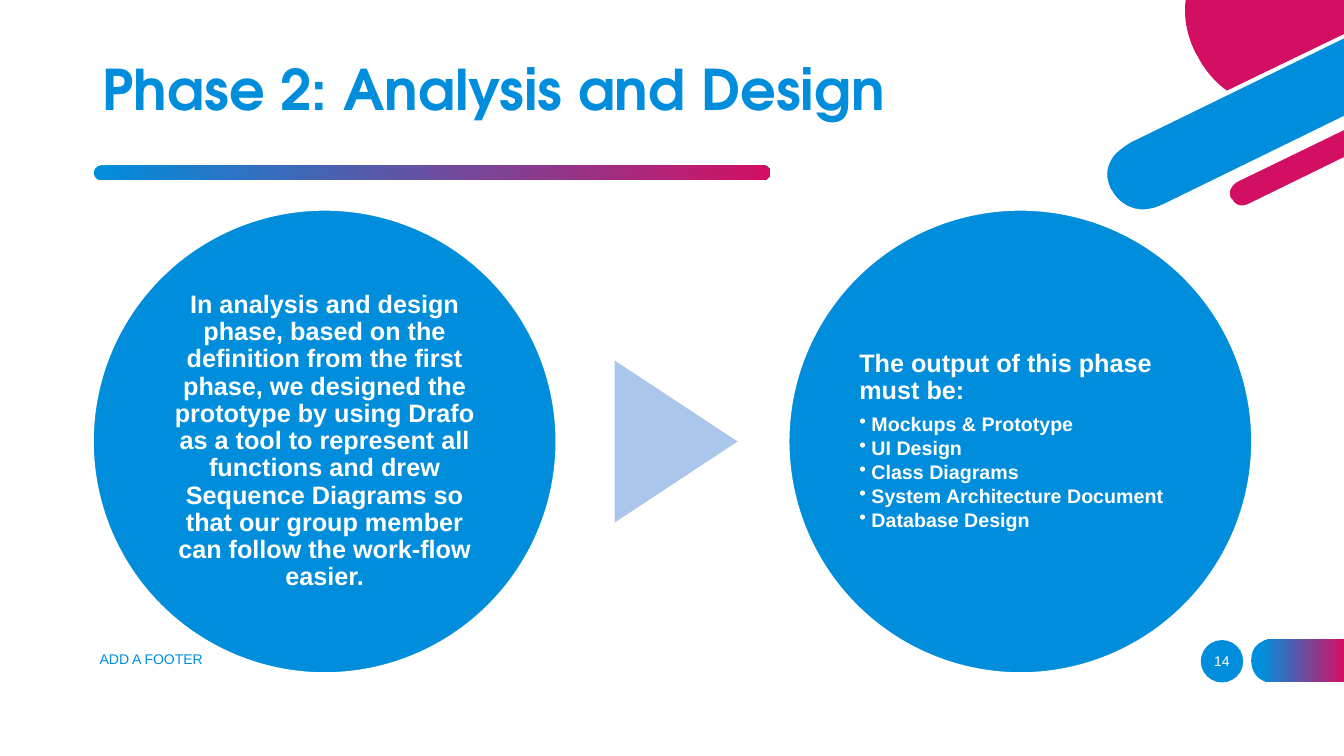
from lxml.etree import SubElement
from pptx import Presentation
from pptx.dml.color import RGBColor
from pptx.enum.shapes import MSO_SHAPE as Preset
from pptx.enum.text import MSO_ANCHOR as Anchor, PP_ALIGN as Align
from pptx.oxml.ns import qn
from pptx.util import Inches, Pt

BLUE = RGBColor(0x00, 0x8E, 0xDC)
PINK = RGBColor(0xD3, 0x0F, 0x64)
PALE = RGBColor(0xAB, 0xC6, 0xEB)
WHITE = RGBColor(0xFF, 0xFF, 0xFF)

SLIDE_WIDTH = 13.33
CURVE_STEPS = 12

NUMBER_TAB = [(12.62, 6.77), (13.33, 6.77), (13.33, 6.34), (12.62, 6.34),
              (12.62, 6.34, 12.41, 6.34, 12.41, 6.55), (12.41, 6.56),
              (12.41, 6.56, 12.41, 6.77, 12.62, 6.77)]
BLUE_BAND = [(11.21, 1.39), (11.21, 1.39, 10.85, 1.57, 11.01, 1.89), (11.01, 1.9),
             (11.01, 1.9, 11.17, 2.22, 11.54, 2.04), (13.33, 1.17), (13.33, 0.36)]
PINK_DISC = [(11.88, 0.56), (11.88, 0.56, 11.97, 0.76, 12.17, 0.9), (13.33, 0.34),
             (13.33, 0), (11.76, 0), (11.74, 0.15, 11.76, 0.33, 11.86, 0.53)]
PINK_BAND = [(13.33, 1.26), (12.27, 1.78), (12.27, 1.78, 12.13, 1.85, 12.2, 1.97),
             (12.2, 1.98), (12.2, 1.98, 12.26, 2.11, 12.4, 2.04), (13.33, 1.58)]
PINK_RIM = [(12.39, 2.02), (12.27, 2.08, 12.22, 1.98, 12.22, 1.97), (12.21, 1.97),
            (12.16, 1.86, 12.28, 1.8, 12.28, 1.8), (13.33, 1.29), (13.33, 1.24),
            (12.26, 1.76), (12.26, 1.76, 12.19, 1.8, 12.17, 1.87),
            (12.15, 1.91, 12.16, 1.95, 12.18, 1.99),
            (12.2, 2.03, 12.25, 2.08, 12.32, 2.08),
            (12.35, 2.08, 12.38, 2.08, 12.41, 2.06), (13.33, 1.61), (13.33, 1.56)]
BLUE_RIM = [(11.53, 2.03), (11.19, 2.19, 11.03, 1.9, 11.03, 1.89), (11.02, 1.88),
            (10.96, 1.75, 10.97, 1.64, 11.06, 1.53),
            (11.13, 1.46, 11.22, 1.41, 11.22, 1.41), (13.33, 0.38), (13.33, 0.34),
            (11.2, 1.37), (11.19, 1.38, 11.02, 1.46, 10.96, 1.63),
            (10.93, 1.71, 10.94, 1.8, 10.99, 1.9), (10.99, 1.91),
            (10.99, 1.91, 11.1, 2.12, 11.33, 2.12),
            (11.39, 2.12, 11.46, 2.1, 11.54, 2.06), (13.33, 1.19), (13.33, 1.15)]

PHASE_SUMMARY = (
    "In analysis and design phase, based on the definition from the first phase, "
    "we designed the prototype by using Drafo as a tool to represent all functions "
    "and drew Sequence Diagrams so that our group member can follow the work-flow easier."
)
OUTPUTS = ["Mockups & Prototype", "UI Design", "Class Diagrams",
           "System Architecture Document", "Database Design"]


def flatten(outline):
    points = [outline[0]]
    for step in outline[1:]:
        if len(step) == 2:
            points.append(step)
            continue
        start, first, second, end = points[-1], step[:2], step[2:4], step[4:]
        for index in range(1, CURVE_STEPS + 1):
            t = index / CURVE_STEPS
            u = 1 - t
            points.append(tuple(
                u**3 * a + 3 * u * u * t * b + 3 * u * t * t * c + t**3 * d
                for a, b, c, d in zip(start, first, second, end)))
    return [(Inches(x), Inches(y)) for x, y in points]


def write(frame, text, size=18, color=WHITE, font="Arial", bold=False,
          align=Align.LEFT, spacing=1.0, after=6, bullet=False, first=True):
    para = frame.paragraphs[0] if first else frame.add_paragraph()
    para.alignment = align
    if bullet:
        para.level = 1
        settings = para._p.get_or_add_pPr()
        settings.set("marL", str(Inches(0.12)))
        settings.set("indent", str(Inches(-0.12)))
        SubElement(settings, qn("a:buChar")).set("char", "•")
    para.line_spacing = spacing
    para.space_after = Pt(after)
    span = para.add_run()
    span.text = text
    span.font.name = font
    span.font.size = Pt(size)
    span.font.bold = bold
    span.font.color.rgb = color


class SlideBuilder:
    def __init__(self, page):
        self.page = page

    def paint(self, shape, fill, line=None, fade_from=None):
        shape.shadow.inherit = False
        if fade_from is None:
            shape.fill.solid()
            shape.fill.fore_color.rgb = fill
        else:
            shape.fill.gradient()
            shape.fill.gradient_angle = 0
            stops = shape.fill.gradient_stops
            for stop, place, color in zip(stops, (fade_from, 1), (BLUE, PINK)):
                stop.position = place
                stop.color.rgb = color
        if line is None:
            shape.line.fill.background()
        else:
            shape.line.color.rgb = line
            shape.line.width = Pt(1.5)
        return shape

    def shape(self, preset, left, top, width, height, fill=None, **style):
        shape = self.page.shapes.add_shape(
            preset, Inches(left), Inches(top), Inches(width), Inches(height))
        return self.paint(shape, fill, **style)

    def outline(self, outline, fill=None, **style):
        points = flatten(outline)
        builder = self.page.shapes.build_freeform(*points[0], scale=1.0)
        builder.add_line_segments(points[1:], close=True)
        return self.paint(builder.convert_to_shape(), fill, **style)

    def label(self, left, top, width, height, text, **style):
        box = self.page.shapes.add_textbox(
            Inches(left), Inches(top), Inches(width), Inches(height))
        frame = box.text_frame
        frame.word_wrap = True
        frame.vertical_anchor = Anchor.MIDDLE
        write(frame, text, **style)

    def circle(self, left):
        circle = self.shape(Preset.OVAL, left, 2.08, 4.6, 4.6, BLUE, line=WHITE)
        frame = circle.text_frame
        frame.word_wrap = True
        frame.vertical_anchor = Anchor.MIDDLE
        frame.margin_left = frame.margin_right = Inches(0.03)
        frame.margin_top = frame.margin_bottom = Inches(0.03)
        return frame


def main():
    deck = Presentation()
    deck.slide_width = Inches(SLIDE_WIDTH)
    deck.slide_height = Inches(7.5)
    slide = SlideBuilder(deck.slides.add_slide(deck.slide_layouts[6]))

    slide.shape(Preset.OVAL, 11.91, 6.35, 0.42, 0.42, BLUE)
    slide.outline(NUMBER_TAB, fade_from=0.12)
    for outline, color in [(BLUE_BAND, BLUE), (PINK_DISC, PINK), (PINK_BAND, PINK),
                           (PINK_RIM, WHITE), (BLUE_RIM, WHITE)]:
        slide.outline(outline, color)
    title_bar = slide.shape(Preset.ROUNDED_RECTANGLE, 0.93, 1.64, 6.71, 0.15, fade_from=0)
    title_bar.adjustments[0] = 0.5

    slide.label(0.89, 6.34, 4.5, 0.4, "ADD A FOOTER", size=10, color=BLUE)
    slide.label(11.82, 6.36, 0.6, 0.4, "14", size=10, align=Align.CENTER)
    slide.label(0.92, 0.4, 9.9, 1.03, "Phase 2: Analysis and Design", size=40,
                color=BLUE, font="TeX Gyre Adventor", bold=True, spacing=0.9)

    summary = slide.circle(0.92)
    write(summary, PHASE_SUMMARY, bold=True, align=Align.CENTER, spacing=0.9)
    arrow = slide.shape(Preset.ISOSCELES_TRIANGLE, 5.9, 3.77, 1.61, 1.22, PALE)
    arrow.rotation = 90
    outputs = slide.circle(7.82)
    write(outputs, "The output of this phase must be:", bold=True, spacing=0.9, after=6.3)
    for item in OUTPUTS:
        write(outputs, item, size=14, bold=True, spacing=0.9, after=2.1,
              bullet=True, first=False)

    deck.save("out.pptx")


if __name__ == "__main__":
    main()
